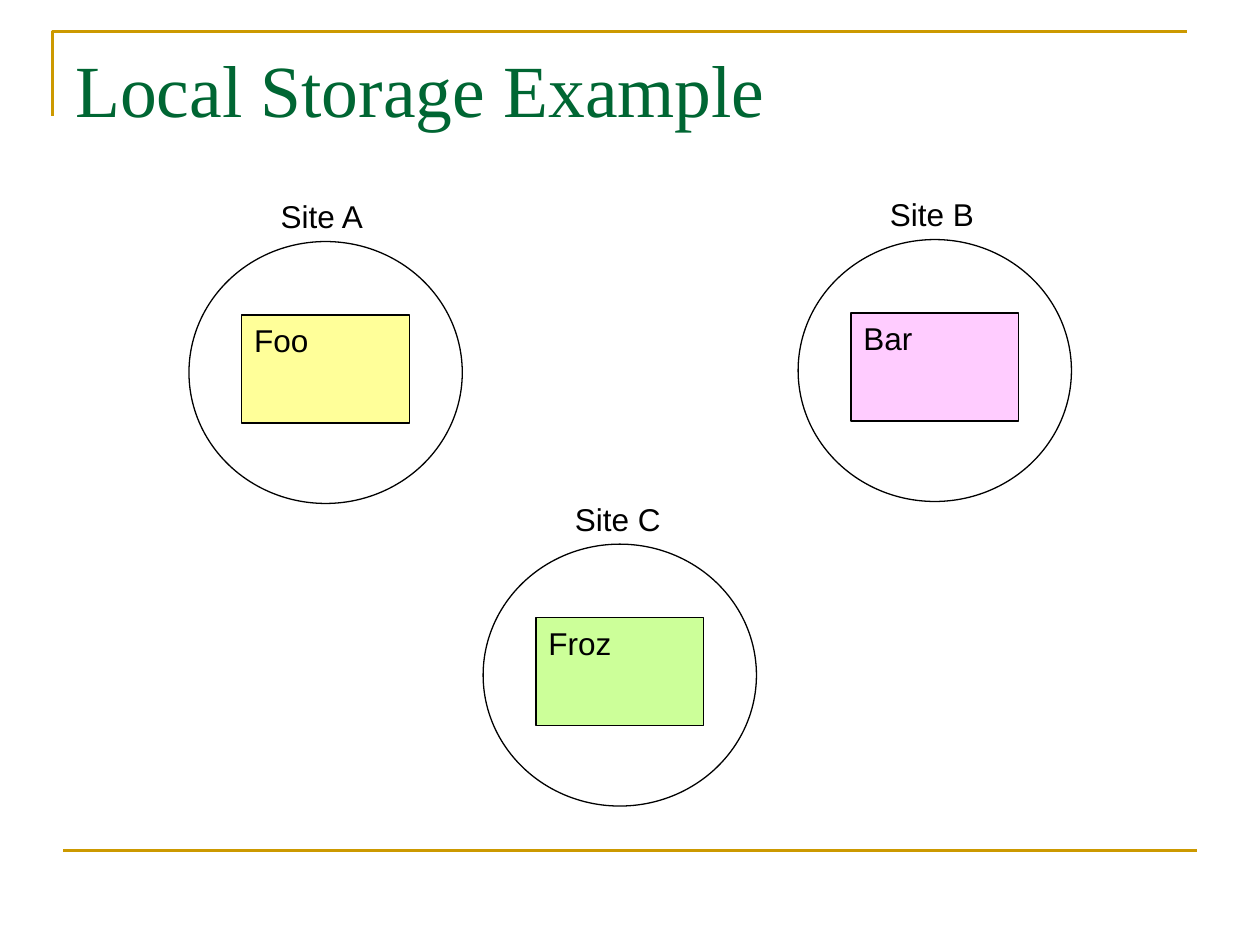
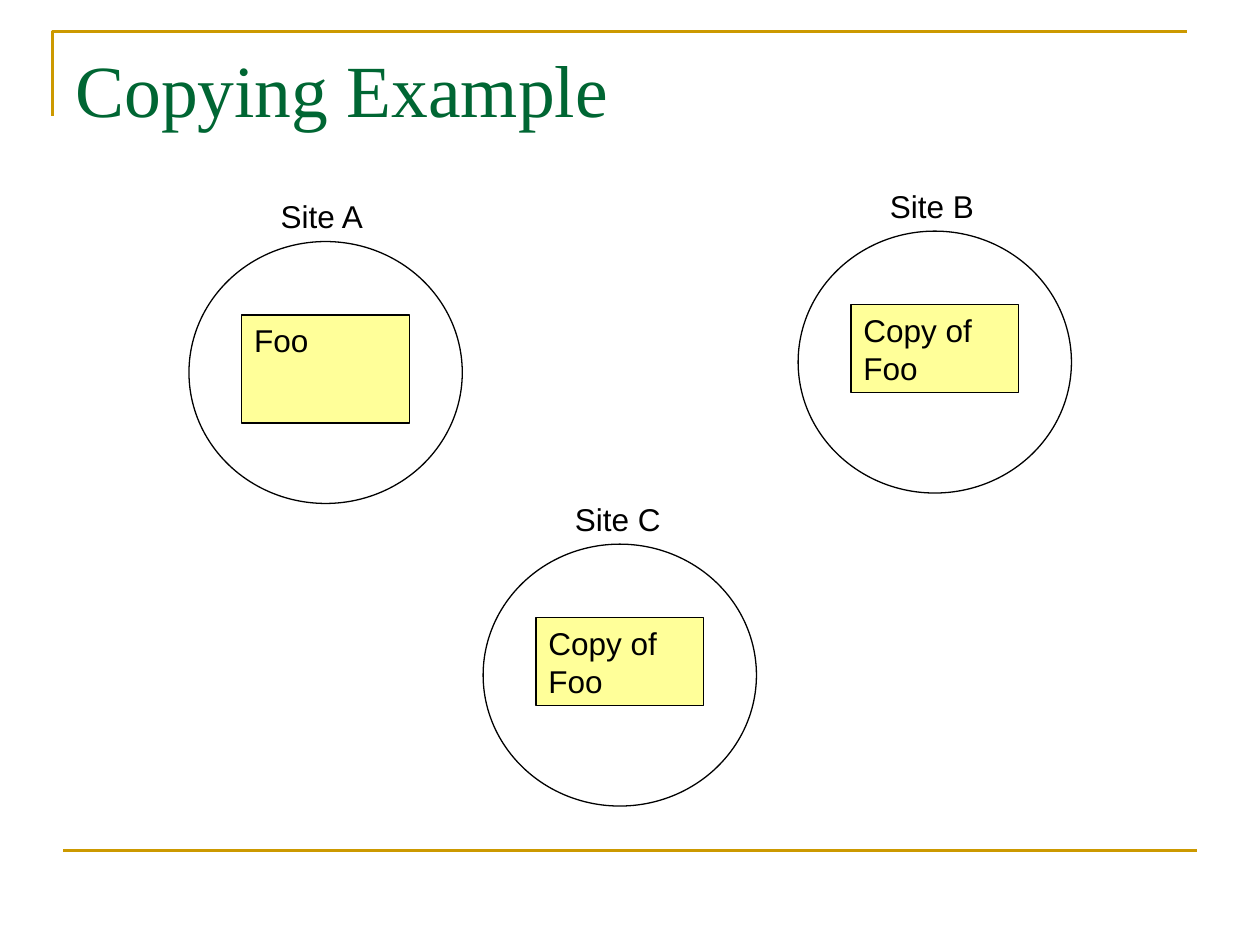
from lxml import etree
from pptx import Presentation
from pptx.dml.color import RGBColor
from pptx.enum.shapes import MSO_CONNECTOR, MSO_SHAPE
from pptx.enum.text import MSO_ANCHOR, PP_ALIGN
from pptx.oxml.ns import qn
from pptx.util import Cm, Pt

STRAIGHT = MSO_CONNECTOR.STRAIGHT
OVAL, RECTANGLE = MSO_SHAPE.OVAL, MSO_SHAPE.RECTANGLE
TOP, LEFT = MSO_ANCHOR.TOP, PP_ALIGN.LEFT

COLORS = {
    "gold": "CC9900", "green": "006633", "black": "000000",
    "yellow": "FFFF99", "pink": "FFCCFF", "lime": "CCFF99",
}

# Each site: name, left and top of its circle in cm, stored item, item colour
SLIDES = [
    ("Local Storage Example", [
        ("Site A", 3.81, 4.87, "Foo", "yellow"),
        ("Site B", 16.09, 4.83, "Bar", "pink"),
        ("Site C", 9.74, 10.97, "Froz", "lime"),
    ]),
    ("Copying Example", [
        ("Site A", 3.81, 4.87, "Foo", "yellow"),
        ("Site B", 16.09, 4.66, "Copy of Foo", "yellow"),
        ("Site C", 9.74, 10.97, "Copy of Foo", "yellow"),
    ]),
]

TITLE_FONT = {"name": "Times New Roman", "size": Pt(42)}
BODY_FONT = {"name": "Arial", "size": Pt(18)}
FRAME_FORMAT = {
    "margin_left": Cm(0.25), "margin_right": Cm(0.25),
    "margin_top": Cm(0.13), "margin_bottom": Cm(0.13),
    "word_wrap": True, "vertical_anchor": TOP,
}

CIRCLE_WIDTH, CIRCLE_HEIGHT = 5.51, 5.28
LABEL_INDENT, LABEL_WIDTH, LABEL_HEIGHT = 1.6, 2.6, 1.02
ITEM_DROP, ITEM_WIDTH = 1.48, 3.38
ITEM_HEIGHT, COPY_HEIGHT = 2.18, 1.78


def color(name):
    return RGBColor.from_string(COLORS[name])


def set_all(target, values):
    for name, value in values.items():
        setattr(target, name, value)


def set_line(shape, name, width):
    shape.line.color.rgb = color(name)
    shape.line.width = Pt(width)


def write(shape, text, font, ink="black"):
    set_all(shape.text_frame, FRAME_FORMAT)
    para = shape.text_frame.paragraphs[0]
    para.alignment = LEFT
    span = para.add_run()
    span.text = text
    set_all(span.font, font)
    span.font.color.rgb = color(ink)


def add_outlined(shapes, kind, left, top, width, height, fill=None):
    shape = shapes.add_shape(kind, Cm(left), Cm(top), Cm(width), Cm(height))
    shape.shadow.inherit = False
    if fill:
        shape.fill.solid()
        shape.fill.fore_color.rgb = color(fill)
    else:
        shape.fill.background()
    set_line(shape, "black", 0.75)
    return shape


def add_frame(page):
    """Draw the gold corner at the top and the gold rule at the bottom."""
    builder = page.shapes.build_freeform(Cm(1.06), Cm(2.33))
    builder.add_line_segments(
        [(Cm(1.06), Cm(0.64)), (Cm(23.92), Cm(0.64))], close=False)
    corner = builder.convert_to_shape()
    corner.shadow.inherit = False
    corner.fill.background()
    rule = page.shapes.add_connector(
        STRAIGHT, Cm(1.27), Cm(17.15), Cm(24.13), Cm(17.15))
    for shape in (corner, rule):
        set_line(shape, "gold", 1.5)
    properties = rule.element.find(qn("p:spPr"))
    etree.SubElement(properties, qn("a:effectLst"))


def add_title(page, text):
    box = page.shapes.add_textbox(Cm(1.27), Cm(0.76), Cm(22.86), Cm(3.18))
    write(box, text, TITLE_FONT, "green")


def add_site(page, name, left, top, item, fill):
    """Group a circle, the label above it and the item stored inside."""
    shapes = page.shapes.add_group_shape().shapes
    add_outlined(shapes, OVAL, left, top, CIRCLE_WIDTH, CIRCLE_HEIGHT)
    label = shapes.add_textbox(Cm(left + LABEL_INDENT), Cm(top - LABEL_HEIGHT),
                               Cm(LABEL_WIDTH), Cm(LABEL_HEIGHT))
    write(label, name, BODY_FONT)
    height = COPY_HEIGHT if item.startswith("Copy") else ITEM_HEIGHT
    stored = add_outlined(shapes, RECTANGLE,
                          left + (CIRCLE_WIDTH - ITEM_WIDTH) / 2,
                          top + ITEM_DROP, ITEM_WIDTH, height, fill)
    write(stored, item, BODY_FONT)


def main():
    deck = Presentation()
    deck.slide_width, deck.slide_height = Cm(25.4), Cm(19.05)
    blank = deck.slide_layouts[6]
    for title, sites in SLIDES:
        page = deck.slides.add_slide(blank)
        add_frame(page)
        add_title(page, title)
        for site in sites:
            add_site(page, *site)
    deck.save("out.pptx")


if __name__ == "__main__":
    main()
